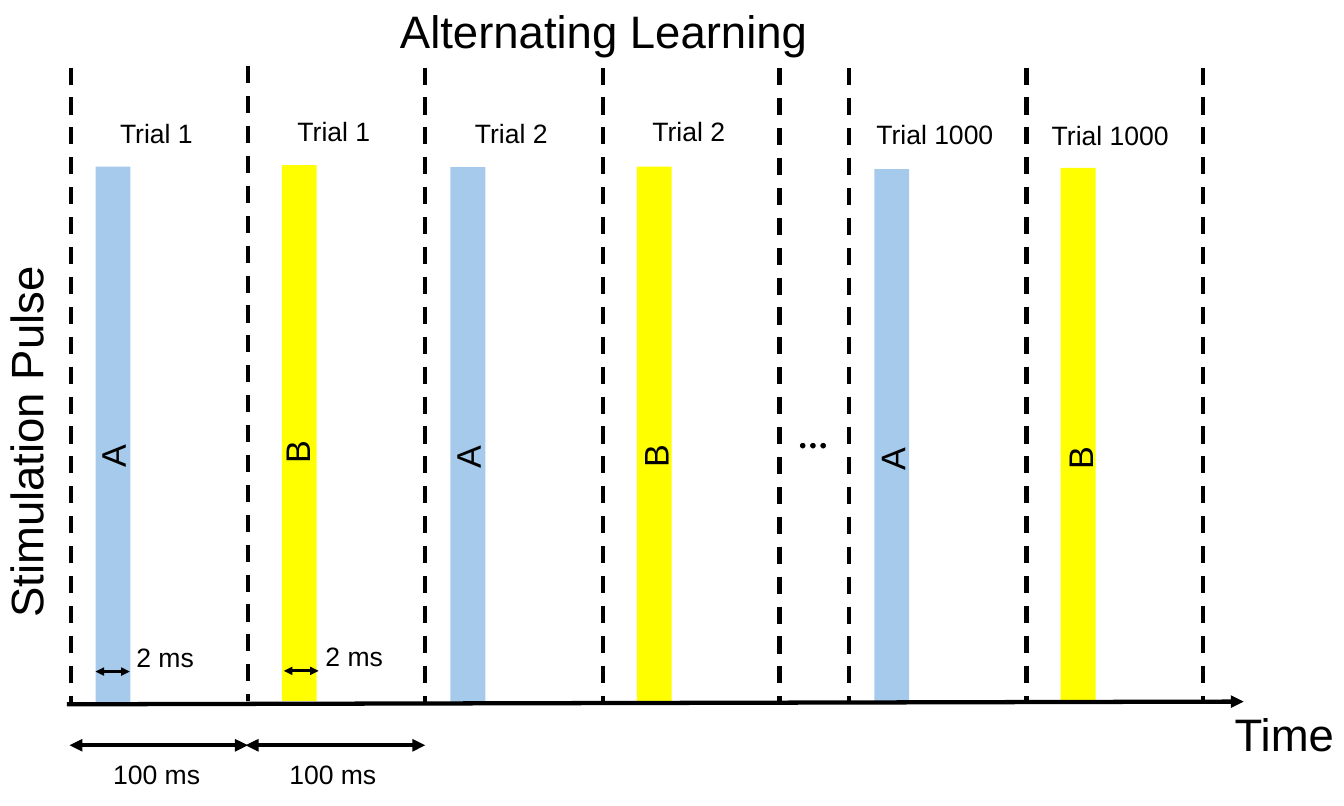
"""Build the alternating learning timeline slide."""
from lxml import etree
from pptx import Presentation
from pptx import util as u
from pptx.dml.color import RGBColor
from pptx.enum import dml, shapes, text
from pptx.oxml.ns import qn

BLACK = RGBColor(0x00, 0x00, 0x00)
WHITE = RGBColor(0xFF, 0xFF, 0xFF)
BLUE = RGBColor(0xA6, 0xCA, 0xEC)
YELLOW = RGBColor(0xFF, 0xFF, 0x00)
FILLS = {"A": BLUE, "B": YELLOW}
SIZE = (19.69, 11.81)

# label, label left, label top, label width, pulse, bar left, bar top,
# bar height, letter left, letter top
TRIALS = [
    ("Trial 1", 1.66, 1.66, 1.28, "A", 1.4, 2.44, 7.85, 1.38, 6.32),
    ("Trial 1", 4.26, 1.63, 1.28, "B", 4.13, 2.42, 7.85, 4.08, 6.26),
    ("Trial 2", 6.86, 1.67, 1.28, "A", 6.6, 2.45, 7.85, 6.58, 6.34),
    ("Trial 2", 9.46, 1.64, 1.28, "B", 9.33, 2.44, 7.85, 9.33, 6.32),
    ("Trial 1000", 12.74, 1.68, 1.99, "A", 12.81, 2.48, 7.8, 12.8, 6.36),
    ("Trial 1000", 15.31, 1.69, 1.99, "B", 15.54, 2.46, 7.85, 15.55, 6.35),
]
BAR = 0.51
DASHES = [(1.04, 0.99), (3.63, 0.97), (6.23, 0.99), (8.83, 0.99),
          (11.42, 1), (12.44, 1), (15.04, 0.99), (17.62, 0.99)]
DASH = 9.3
SPANS = [
    ("100 ms", (1.56, 11.05, 1.54, 0.57), (1.02, 10.92, 3.63, 10.92), 4.5),
    ("100 ms", (4.14, 11.05, 1.54, 0.57), (3.6, 10.92, 6.23, 10.92), 4.5),
    ("2 ms", (1.9, 9.34, 1.05, 0.57), (1.4, 9.84, 1.9, 9.84), 3),
    ("2 ms", (4.67, 9.33, 1.05, 0.57), (4.16, 9.83, 4.67, 9.83), 3),
]
AXIS = (0.98, 10.32, 18.22, 10.28)
DOTS = (11.71, 6.48, 0.1, 0.15, 3)


def inch(nums):
    """Turn numbers into lengths."""
    return [u.Inches(n) for n in nums]


def write(slide, words, box, size=28, turn=0, wrap=False, shape=None):
    """Write one line of text in a new box or in the given shape."""
    shape = shape or slide.shapes.add_textbox(*inch(box))
    shape.left, shape.top, shape.width, shape.height = inch(box)
    shape.rotation = turn
    frame = shape.text_frame
    frame.text = words
    frame.word_wrap = wrap
    frame.auto_size = text.MSO_AUTO_SIZE.SHAPE_TO_FIT_TEXT
    frame.vertical_anchor = text.MSO_ANCHOR.TOP
    para = frame.paragraphs[0]
    para.alignment = text.PP_ALIGN.LEFT
    para.space_before = u.Pt(0)
    font = para.runs[0].font
    font.name, font.size = "Arial", u.Pt(size)
    font.color.rgb = BLACK


def block(slide, kind, box, fill, edge=None):
    """Draw a filled shape, with an edge if a colour is given."""
    shape = slide.shapes.add_shape(kind, *inch(box))
    shape.shadow.inherit = False
    shape.fill.solid()
    shape.fill.fore_color.rgb = fill
    if edge is None:
        shape.line.fill.background()
    else:
        shape.line.color.rgb = edge
        shape.line.width = u.Pt(1)


def rule(slide, ends, width=4.5, dash=False, tips=()):
    """Draw a straight line with optional dashes and arrowheads."""
    link = slide.shapes.add_connector(shapes.MSO_CONNECTOR.STRAIGHT, *inch(ends))
    link.line.color.rgb = BLACK
    link.line.width = u.Pt(width)
    if dash:
        link.line.dash_style = dml.MSO_LINE.DASH
    props = link.element.spPr
    for tip in tips:
        etree.SubElement(props.find(qn("a:ln")), qn(tip), type="triangle")
    etree.SubElement(props, qn("a:effectLst"))


def main():
    """Lay out the slide and save it."""
    deck = Presentation()
    deck.slide_width, deck.slide_height = inch(SIZE)
    slide = deck.slides.add_slide(deck.slide_layouts[5])
    write(slide, "Alternating Learning", (5.76, 0, 6.24, 0.91), size=48,
          shape=slide.shapes.title)

    for name, left, top, wide, pulse, bar, high, tall, x, y in TRIALS:
        write(slide, name, (left, top, wide, 0.57))
        block(slide, shapes.MSO_SHAPE.RECTANGLE, (bar, high, BAR, tall), FILLS[pulse])
        write(slide, pulse, (x, y, 0.54, 0.71), size=36, turn=270)

    left, top, side, step, count = DOTS
    for i in range(count):
        block(slide, shapes.MSO_SHAPE.OVAL, (left + i * step, top, side, side),
              BLACK, edge=WHITE)

    for name, box, ends, width in SPANS:
        rule(slide, ends, width, tips=("a:headEnd", "a:tailEnd"))
        write(slide, name, box)

    rule(slide, AXIS, tips=("a:tailEnd",))
    for x, y in DASHES:
        rule(slide, (x, y, x, y + DASH), dash=True)

    write(slide, "Time", (17.99, 10.3, 1.67, 0.91), size=48)
    write(slide, "Stimulation Pulse", (-2.87, 5.45, 6.49, 0.91), size=48,
          turn=270, wrap=True)
    deck.save("out.pptx")


if __name__ == "__main__":
    main()
